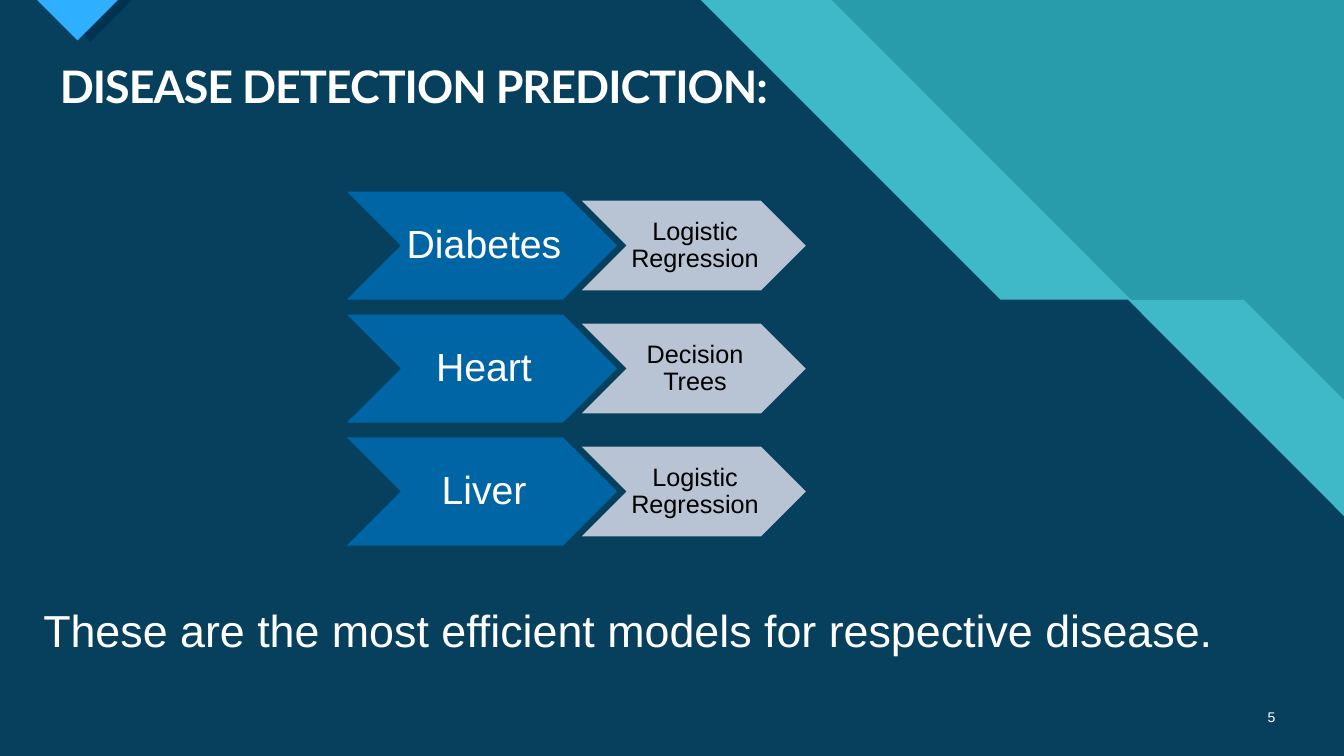
from pptx import Presentation, util as u
from pptx.dml.color import RGBColor
from pptx.enum import shapes, text
from pptx.oxml.ns import qn
from lxml import etree

Pt = u.Pt
TEAL = RGBColor(0x29, 0x9C, 0xAB)
AQUA = RGBColor(0x47, 0xC3, 0xD3)
NAVY = RGBColor(0x00, 0x33, 0x52)
SKY = RGBColor(0x2F, 0xAF, 0xFF)
BLUE = RGBColor(0x00, 0x65, 0xA4)
MIST = RGBColor(0xCC, 0xD3, 0xE0)
WHITE = RGBColor(0xFF, 0xFF, 0xFF)
BLACK = RGBColor(0x00, 0x00, 0x00)
WIDTH, HEIGHT = 960, 540


def assign(target, values):
    for name, value in values.items():
        setattr(target, name, value)


class SlideBuilder:
    font = "Arial"

    def __init__(self, page):
        self.page = page

    def backdrop(self, color):
        fill = self.page.background.fill
        fill.solid()
        fill.fore_color.rgb = color

    def paint(self, shape, color, alpha=100):
        shape.shadow.inherit = False
        shape.fill.solid()
        shape.fill.fore_color.rgb = color
        shape.line.fill.background()
        if alpha < 100:
            tone = shape._element.spPr.find(".//" + qn("a:srgbClr"))
            etree.SubElement(tone, qn("a:alpha"), val=str(alpha * 1000))

    def outline(self, points, color, alpha=100):
        corners = [(Pt(x), Pt(y)) for x, y in points]
        builder = self.page.shapes.build_freeform(*corners[0])
        builder.add_line_segments(corners[1:], close=True)
        self.paint(builder.convert_to_shape(), color, alpha)

    def set_text(self, shape, words, size, color, frame=None, layout=None, **font):
        box = shape.text_frame
        box.text = words
        assign(box, {"word_wrap": True, "auto_size": text.MSO_AUTO_SIZE.NONE,
                     **(frame or {})})
        para = box.paragraphs[0]
        assign(para, {"alignment": text.PP_ALIGN.LEFT, **(layout or {})})
        span = para.runs[0]
        assign(span.font, {"name": self.font, "size": Pt(size), **font})
        span.font.color.rgb = color
        return span

    def title(self, words, place, size, color, font, spacing):
        shape = self.page.shapes.title
        self.page.shapes._spTree.append(shape._element)
        assign(shape, dict(zip(("left", "top", "width", "height"), map(Pt, place))))
        span = self.set_text(shape, words, size, color,
                             {"vertical_anchor": text.MSO_ANCHOR.TOP},
                             {"line_spacing": 0.9}, name=font, bold=True)
        span._r.get_or_add_rPr().set("spc", str(spacing))

    def label(self, words, place, size, color, frame=None, layout=None):
        shape = self.page.shapes.add_textbox(*map(Pt, place))
        self.set_text(shape, words, size, color, frame, layout)

    def chevron(self, words, place, size, color, fill, alpha=100):
        shape = self.page.shapes.add_shape(shapes.MSO_SHAPE.CHEVRON, *map(Pt, place))
        self.paint(shape, fill, alpha)
        frame = {"vertical_anchor": text.MSO_ANCHOR.MIDDLE,
                 "margin_left": Pt(size / 10), "margin_right": 0,
                 "margin_top": Pt(1), "margin_bottom": Pt(1)}
        self.set_text(shape, words, size, color, frame,
                      {"alignment": text.PP_ALIGN.CENTER, "line_spacing": 0.9})


deck = Presentation()
assign(deck, {"slide_width": Pt(WIDTH), "slide_height": Pt(HEIGHT)})
page = deck.slides.add_slide(deck.slide_layouts[5])
slide = SlideBuilder(page)

slide.backdrop(TEAL)
bands = [
    ([(594, 0), (808, 214.3), (888.5, 214.3), (WIDTH, 285.8)], AQUA, 74),
    ([(500.4, 0), (714.5, 214), (805.4, 214), (WIDTH, 368.8)], NAVY, 90),
]
for edge, color, alpha in bands:
    slide.outline([(0, 0), *edge, (WIDTH, HEIGHT), (0, HEIGHT)], color, alpha)
for center, depth, color in ((64.6, 29.8, NAVY), (55.4, 28.8, SKY)):
    slide.outline([(center - depth, 0), (center + depth, 0), (center, depth)], color)

slide.title("DISEASE DETECTION PREDICTION:", (35.5, 42.5, 882.5, 42.5),
            32, WHITE, "Lato", -70)
slide.label("5", (886, 497.5, 32, 28.8), 10, WHITE,
            {"vertical_anchor": text.MSO_ANCHOR.MIDDLE},
            {"alignment": text.PP_ALIGN.RIGHT})

models = [("Diabetes", "Logistic Regression"), ("Heart", "Decision Trees"),
          ("Liver", "Logistic Regression")]
TOP, PITCH, TALL, SHORT = 136.8, 87.85, 77.2, 64
for row, (disease, model) in enumerate(models):
    top = TOP + row * PITCH
    slide.chevron(disease, (247.8, top, 193, TALL), 28, WHITE, BLUE)
    slide.chevron(model, (415.6, top + (TALL - SHORT) / 2, 160, SHORT),
                  18, BLACK, MIST, 90)

slide.label("These are the most efficient models for respective disease.",
            (23.8, 427, 862, 46), 32, WHITE)

deck.save("out.pptx")
